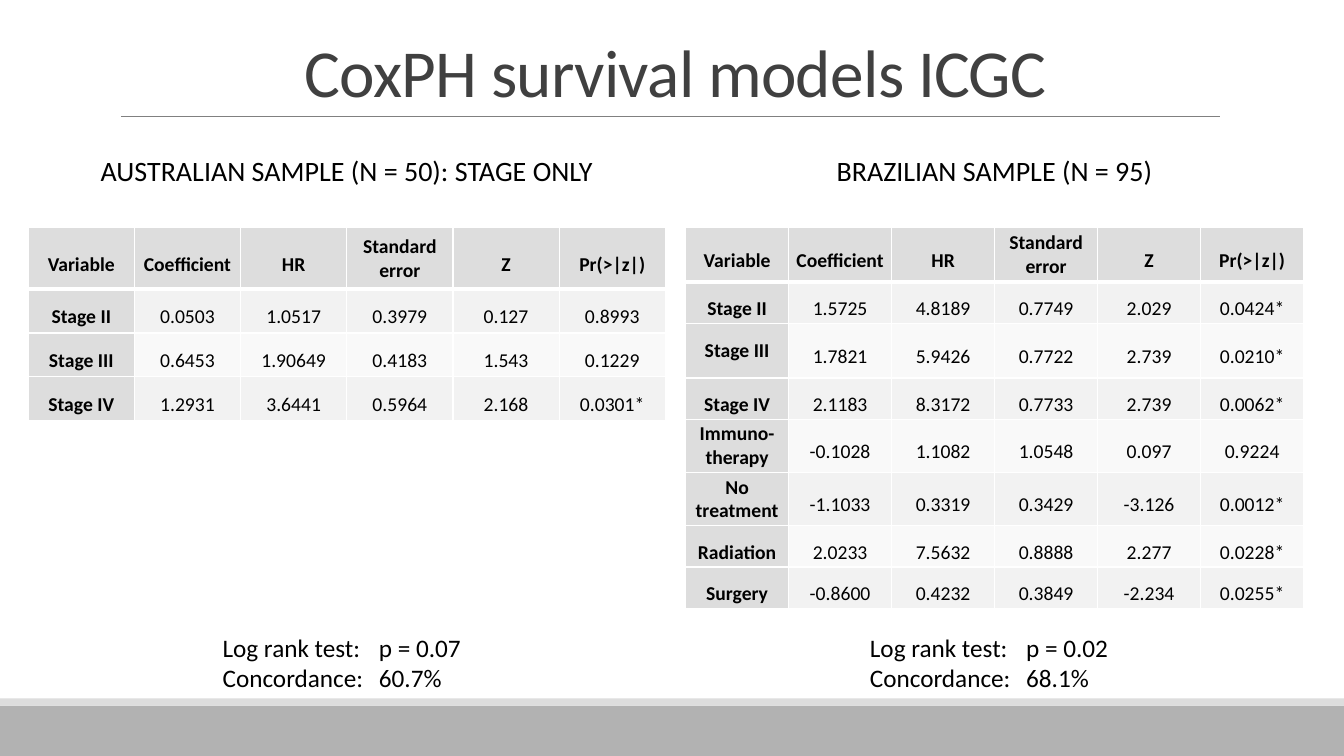
"""Build the slide that compares two survival models side by side."""
from lxml.etree import SubElement
from pptx import Presentation
from pptx.dml.color import RGBColor
from pptx.enum.shapes import MSO_CONNECTOR, MSO_SHAPE
from pptx.enum.text import MSO_ANCHOR as Anchor, MSO_AUTO_SIZE as AutoSize, PP_ALIGN as Align
from pptx.oxml.ns import qn
from pptx.util import Inches, Pt

FONT = "Calibri"
COLORS = {
    "text": "000000", "title": "404040", "rule": "808080", "border": "FFFFFF",
    "label": "DDDDDD", "odd": "F2F2F2", "even": "F9F9F9",
    "footer": "B2B2B2", "footer_edge": "DDDDDD",
}
TITLE = "CoxPH survival models ICGC"
HEADER = ("Variable", "Coefficient", "HR", "Standard error", "Z", "Pr(>|z|)")
SAMPLES = [
    {
        "heading": "AUSTRALIAN SAMPLE (N = 50): STAGE ONLY",
        "left": 0.28, "width": 6.32, "table_height": 1.9,
        "header_height": 0.61, "row_height": 0.33, "margins": (0.07, 0.04),
        "single_spaced": ("Standard error",),
        "rows": [
            ("Stage II", "0.0503", "1.0517", "0.3979", "0.127", "0.8993"),
            ("Stage III", "0.6453", "1.90649", "0.4183", "1.543", "0.1229"),
            ("Stage IV", "1.2931", "3.6441", "0.5964", "2.168", "0.0301*"),
        ],
        "summary_left": 2.11,
        "summary": [("Log rank test:", "p = 0.07"), ("Concordance:", "60.7%")],
    },
    {
        "heading": "BRAZILIAN SAMPLE (N = 95)",
        "left": 6.8, "width": 6.13, "table_height": 3.83,
        "header_height": 0.54, "row_height": 0.3, "margins": (0.06, 0.03),
        "single_spaced": ("Standard error", "Stage III", "Immuno-therapy", "No treatment"),
        "tall_rows": ("Stage III",),
        "rows": [
            ("Stage II", "1.5725", "4.8189", "0.7749", "2.029", "0.0424*"),
            ("Stage III", "1.7821", "5.9426", "0.7722", "2.739", "0.0210*"),
            ("Stage IV", "2.1183", "8.3172", "0.7733", "2.739", "0.0062*"),
            ("Immuno-therapy", "-0.1028", "1.1082", "1.0548", "0.097", "0.9224"),
            ("No treatment", "-1.1033", "0.3319", "0.3429", "-3.126", "0.0012*"),
            ("Radiation", "2.0233", "7.5632", "0.8888", "2.277", "0.0228*"),
            ("Surgery", "-0.8600", "0.4232", "0.3849", "-2.234", "0.0255*"),
        ],
        "summary_left": 8.53,
        "summary": [("Log rank test:", "p = 0.02"), ("Concordance:", "68.1%")],
    },
]


def color(name):
    return RGBColor.from_string(COLORS[name])


def place(shape, left, top, width, height):
    shape.left, shape.top = Inches(left), Inches(top)
    shape.width, shape.height = Inches(width), Inches(height)


def add_run(paragraph, text, size, bold=False, color_name="text"):
    run = paragraph.add_run()
    run.text = text
    font = run.font
    font.name, font.size, font.bold = FONT, Pt(size), bold
    font.color.rgb = color(color_name)
    return run


def fill_placeholder(shape, box, anchor, text, size, spacing, color_name):
    place(shape, *box)
    frame = shape.text_frame
    frame.auto_size, frame.vertical_anchor = AutoSize.NONE, anchor
    paragraph = frame.paragraphs[0]
    paragraph.alignment, paragraph.line_spacing = Align.CENTER, spacing
    paragraph.space_before = Pt(0)
    return add_run(paragraph, text, size, color_name=color_name)


def add_bar(slide, top, height, color_name):
    bar = slide.shapes.add_shape(
        MSO_SHAPE.RECTANGLE, 0, Inches(top), Inches(13.33), Inches(height))
    bar.shadow.inherit = False
    bar.fill.solid()
    bar.fill.fore_color.rgb = color(color_name)
    bar.line.fill.background()


def add_title_rule(slide):
    rule = slide.shapes.add_connector(
        MSO_CONNECTOR.STRAIGHT, Inches(1.2), Inches(1.15), Inches(12.1), Inches(1.15))
    rule.line.color.rgb = color("rule")
    rule.line.width = Pt(0.5)
    SubElement(rule._element.spPr, qn("a:effectLst"))


def set_borders(cell, row_index):
    properties = cell._tc.get_or_add_tcPr()
    widths = {"lnL": 1, "lnR": 1, "lnT": 3 if row_index == 1 else 1,
              "lnB": 3 if row_index == 0 else 1}
    for side, width in widths.items():
        line = SubElement(properties, qn(f"a:{side}"), w=str(Pt(width)))
        fill = SubElement(line, qn("a:solidFill"))
        SubElement(fill, qn("a:srgbClr"), val=COLORS["border"])


def fill_cell(cell, text, row_index, column_index, sample):
    is_label = row_index == 0 or column_index == 0
    set_borders(cell, row_index)
    cell.fill.solid()
    band = "odd" if row_index % 2 else "even"
    cell.fill.fore_color.rgb = color("label" if is_label else band)
    cell.vertical_anchor = Anchor.MIDDLE
    horizontal, vertical = map(Inches, sample["margins"])
    cell.margin_left = cell.margin_right = horizontal
    cell.margin_top = cell.margin_bottom = vertical
    paragraph = cell.text_frame.paragraphs[0]
    paragraph.alignment = Align.CENTER
    paragraph.line_spacing = 1.0 if text in sample["single_spaced"] else 1.5
    add_run(paragraph, text, 14, bold=is_label)


def add_model_table(slide, sample):
    rows = [HEADER] + sample["rows"]
    height = Inches(sample["table_height"])
    graphic_frame = slide.shapes.add_table(
        len(rows), len(HEADER), Inches(sample["left"]), Inches(2.26),
        Inches(sample["width"]), height)
    table = graphic_frame.table
    for row_index, values in enumerate(rows):
        is_tall = row_index == 0 or values[0] in sample.get("tall_rows", ())
        row_height = sample["header_height" if is_tall else "row_height"]
        table.rows[row_index].height = Inches(row_height)
        for column_index, text in enumerate(values):
            fill_cell(table.cell(row_index, column_index), text, row_index, column_index, sample)
    graphic_frame.height = height


def add_summary(slide, sample):
    box = slide.shapes.add_textbox(
        Inches(sample["summary_left"]), Inches(6.22), Inches(2.66), Inches(0.71))
    frame = box.text_frame
    frame.word_wrap, frame.auto_size = True, AutoSize.SHAPE_TO_FIT_TEXT
    for index, (label, value) in enumerate(sample["summary"]):
        paragraph = frame.add_paragraph() if index else frame.paragraphs[0]
        tabs = SubElement(paragraph._p.get_or_add_pPr(), qn("a:tabLst"))
        SubElement(tabs, qn("a:tab"), pos=str(Inches(1.55)), algn="l")
        add_run(paragraph, f"{label}\t{value}", 18)


def main():
    presentation = Presentation()
    presentation.slide_width, presentation.slide_height = Inches(13.33), Inches(7.5)
    slide = presentation.slides.add_slide(presentation.slide_layouts.get_by_name("Comparison"))
    title, left_heading, left_content, right_heading, right_content = slide.placeholders
    for unused in (left_content, right_content):
        unused._element.getparent().remove(unused._element)

    add_bar(slide, 7, 0.5, "footer")
    add_bar(slide, 6.93, 0.07, "footer_edge")
    add_title_rule(slide)
    title_run = fill_placeholder(
        title, (1.2, 0.31, 11, 0.84), Anchor.BOTTOM, TITLE, 48, 0.85, "title")
    title_run._r.get_or_add_rPr().set("spc", "-50")

    for sample, heading in zip(SAMPLES, (left_heading, right_heading)):
        box = (sample["left"], 1.4, sample["width"], 0.62)
        fill_placeholder(heading, box, Anchor.MIDDLE, sample["heading"], 20, 0.9, "text")
        add_model_table(slide, sample)
        add_summary(slide, sample)
    presentation.save("out.pptx")


if __name__ == "__main__":
    main()
